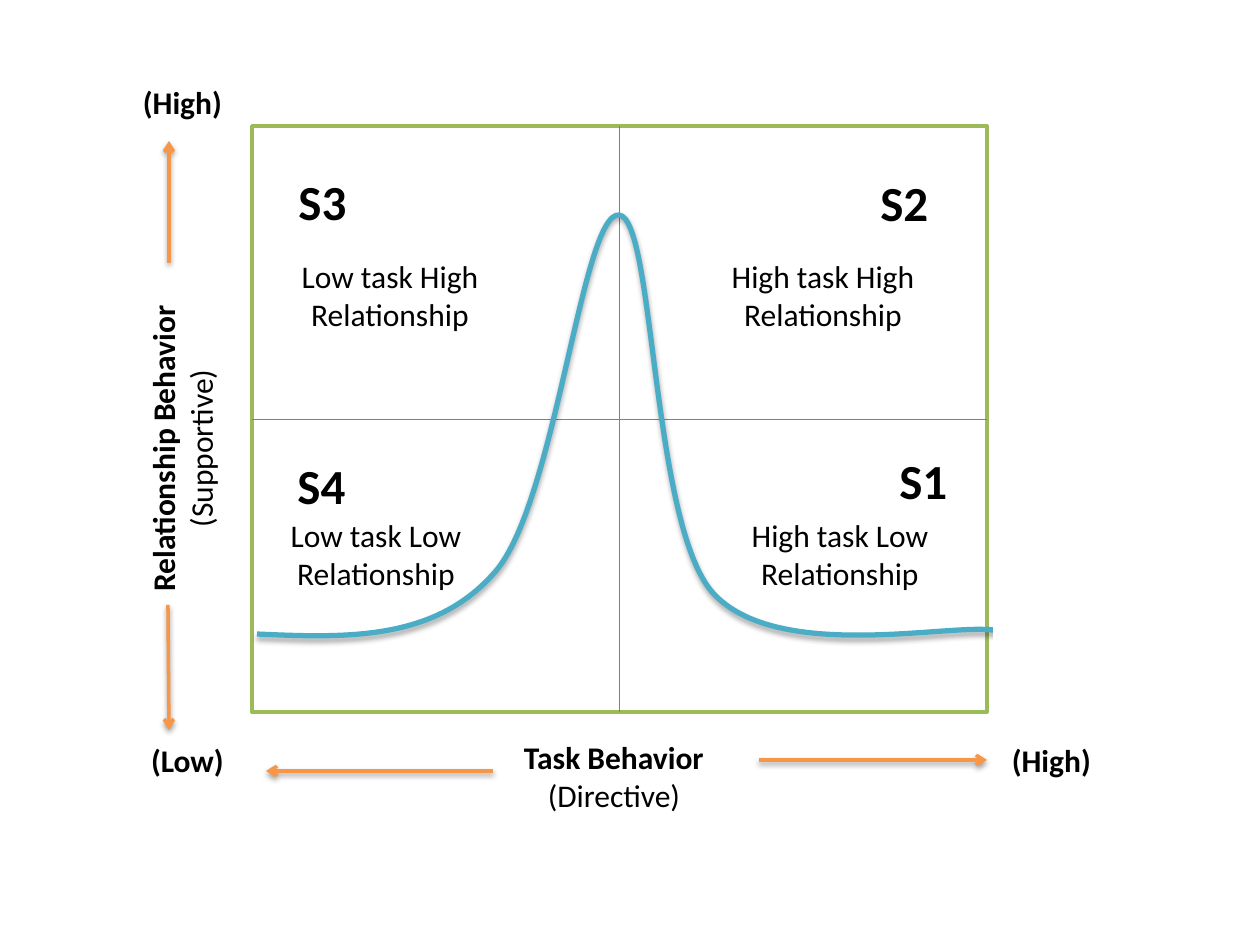
from lxml import etree
from pptx import Presentation
from pptx import util as u
from pptx.dml.color import RGBColor
from pptx.enum import shapes, text
from pptx.oxml import parse_xml
from pptx.oxml.ns import qn

PX = 914400 // 126
BLACK = RGBColor(0, 0, 0)
WHITE = RGBColor(255, 255, 255)
GREEN = RGBColor(0x9B, 0xBB, 0x59)
GREY = RGBColor(0x80, 0x80, 0x80)
AQUA = RGBColor(0x4B, 0xAC, 0xC6)
ORANGE = RGBColor(0xF7, 0x96, 0x46)
NS = "http://schemas.openxmlformats.org/drawingml/2006/main"

# Content: places are px
GRID = (252, 126, 735, 586)
MASK = (995, 605, 27, 49)
# name, its left and top, description, its left and top
STYLES = [
    ("S1", 887, 444, "High task Low Relationship", 716, 510),
    ("S3", 286, 165, "Low task High Relationship", 266, 251),
    ("S2", 868, 166, "High task High Relationship", 699, 251),
    ("S4", 285, 449, "Low task Low Relationship", 252, 510),
]
ENDS = [("(Low)", 123, 735), ("(High)", 987, 735), ("(High)", 118, 77)]
AXES = [
    ("Task Behavior", "(Directive)", 249, 732, 0),
    ("Relationship Behavior", "(Supportive)", -183, 404, 270),
]
ARROWS = [
    (169, 263, 169, 141), (168, 605, 169, 730),
    (493, 771, 266, 771), (759, 760, 987, 760),
]
# Bell curve: start, then two controls and an end for each piece
START = (257, 634)
CURVE = [
    (347, 638), (435, 641), (495, 572),
    (556, 503), (582, 212), (619, 215),
    (655, 218), (651, 524), (713, 593),
    (776, 662), (946, 624), (992, 630),
    (1037, 635), (985, 629), (985, 629),
]
SPAN = (753, 421)

prs = Presentation()
prs.slide_width, prs.slide_height = u.Inches(10), u.Inches(7.5)
slide = prs.slides.add_slide(prs.slide_layouts[6])
parts = slide.shapes


def emu(*vals):
    return [v * PX for v in vals]


def shade(shape, alpha, dist):
    props = shape._element.spPr
    for old in props.findall(qn("a:effectLst")):
        props.remove(old)
    props.append(parse_xml(
        f'<a:effectLst xmlns:a="{NS}"><a:outerShdw blurRad="40000" '
        f'dist="{dist}" dir="5400000" rotWithShape="0"><a:srgbClr val="000000">'
        f'<a:alpha val="{alpha}000"/></a:srgbClr></a:outerShdw></a:effectLst>'))


def box(place, color):
    shape = parts.add_shape(shapes.MSO_SHAPE.RECTANGLE, *emu(*place))
    shape.shadow.inherit = False
    shape.fill.solid()
    shape.fill.fore_color.rgb = WHITE
    shape.line.color.rgb = color
    shape.line.width = u.Pt(2)


def line(ends, color, width):
    link = parts.add_connector(shapes.MSO_CONNECTOR.STRAIGHT, *emu(*ends))
    link.line.color.rgb = color
    link.line.width = u.Pt(width)
    etree.SubElement(link._element.spPr, qn("a:effectLst"))
    return link


def label(place, rows, size=18, align=text.PP_ALIGN.CENTER):
    shape = parts.add_textbox(*emu(*place))
    frame = shape.text_frame
    frame.word_wrap = True
    frame.auto_size = text.MSO_AUTO_SIZE.SHAPE_TO_FIT_TEXT
    frame.text = "\n".join(words for words, bold in rows)
    for para, (words, bold) in zip(frame.paragraphs, rows):
        para.alignment = align
        font = para.font
        font.name, font.size, font.bold = "Calibri", u.Pt(size), bold
        font.color.rgb = BLACK
    return shape


# Grid and its middle lines
box(GRID, GREEN)
left, top, wide, high = GRID
midx, midy = left + wide // 2, top + high // 2
line((midx, top, midx, top + high), GREY, 0.5)
line((left, midy, left + wide, midy), GREY, 0.5)

# Bell curve: each three points become one cubic piece
form = parts.build_freeform(*START, scale=PX)
form.add_line_segments(CURVE, close=False)
bell = form.convert_to_shape()
bell.fill.background()
bell.line.color.rgb = AQUA
bell.line.width = u.Pt(3)
shade(bell, 35, 23000)
route = bell._element.spPr.find(".//" + qn("a:path"))
legs = route.findall(qn("a:lnTo"))
for n in range(0, len(legs), 3):
    piece = etree.SubElement(route, qn("a:cubicBezTo"))
    for leg in legs[n:n + 3]:
        piece.append(leg[0])
        route.remove(leg)
# The frame hugs the curve rather than its control points
bell.width, bell.height = emu(*SPAN)
for side, span in zip("wh", SPAN):
    route.set(side, str(span))
box(MASK, WHITE)

# Styles in the four quarters
for name, x, y, words, tx, ty in STYLES:
    label((x, y, 79, 72), [(name, True)], 28, text.PP_ALIGN.LEFT)
    label((tx, ty, 248, 89), [(words, False)])

# Axis names and ends
for words, x, y in ENDS:
    label((x, y, 129, 51), [(words, True)])
for name, note, x, y, turn in AXES:
    label((x, y, 730, 89), [(name, True), (note, False)]).rotation = turn

# Axis arrows
for ends in ARROWS:
    arrow = line(ends, ORANGE, 2)
    stroke = arrow._element.spPr.find(qn("a:ln"))
    etree.SubElement(stroke, qn("a:tailEnd"), type="arrow")
    shade(arrow, 38, 20000)

prs.save("out.pptx")
